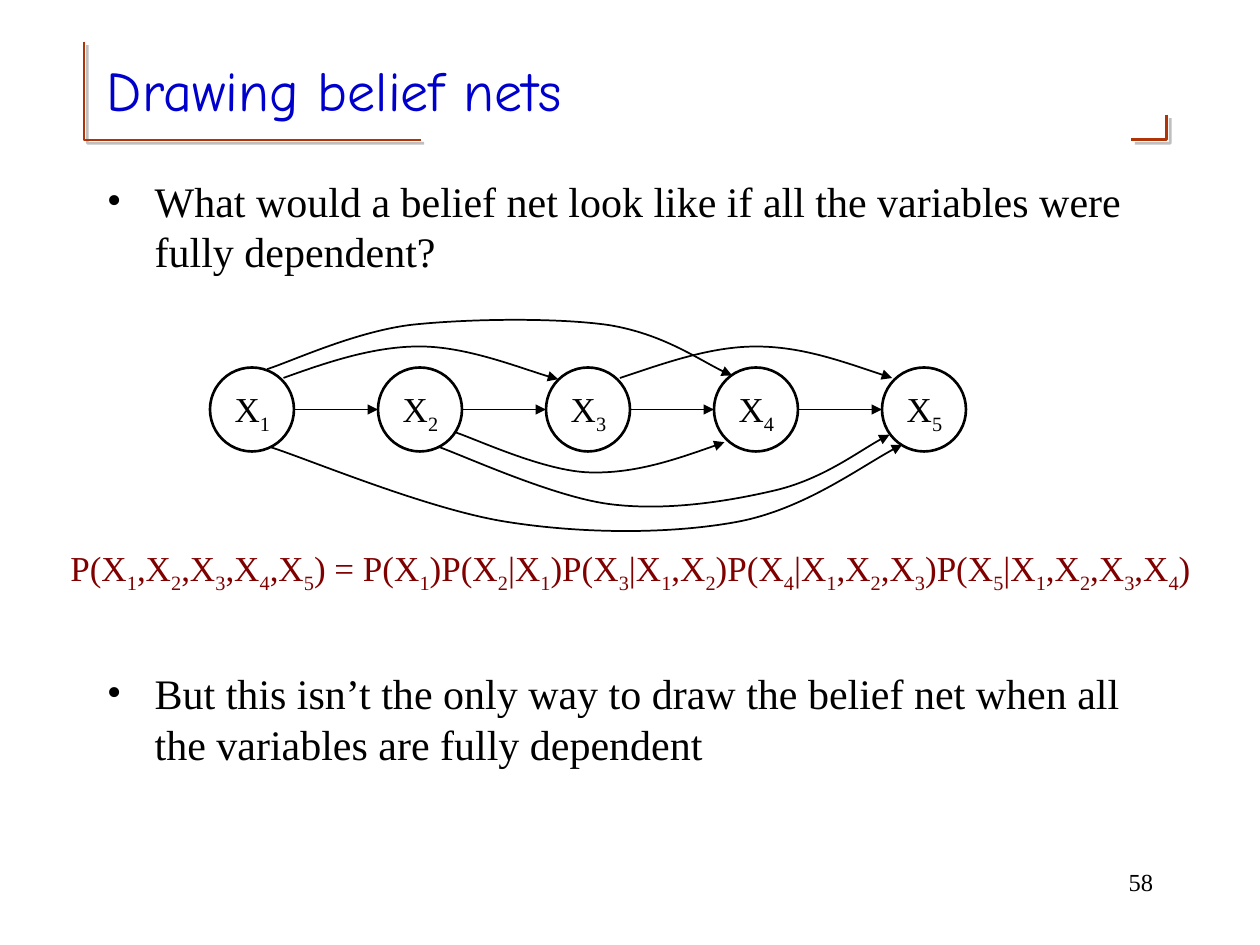
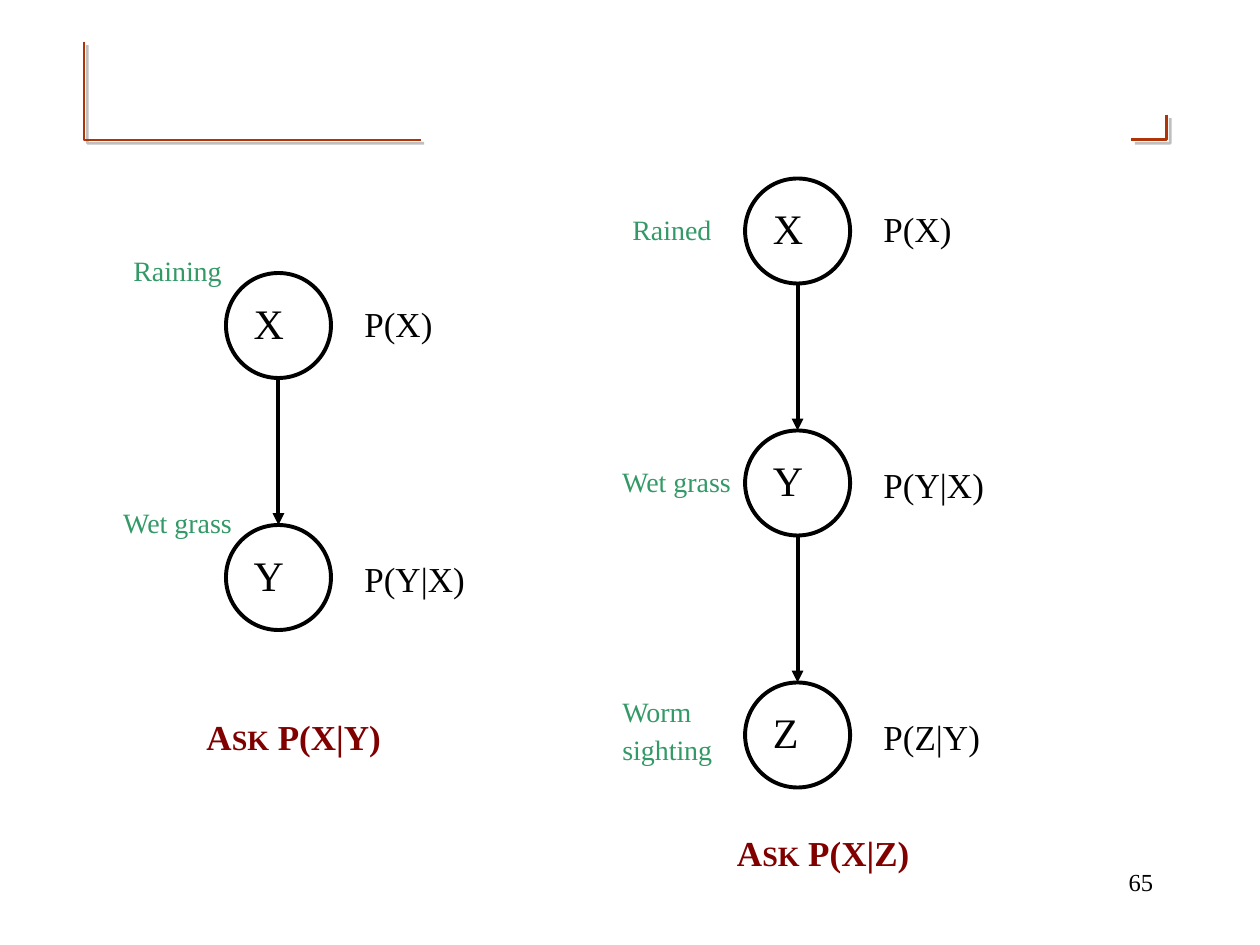
import itertools

import pptx
import pptx.dml.color
import pptx.enum.shapes
import pptx.enum.text
import pptx.oxml
import pptx.oxml.ns
import pptx.util
from pptx.util import Inches

SERIF = "Times New Roman"
TITLE_FONT = "Comic Neue"
BLACK = "000000"
TITLE_BLUE = "0000CC"
FRAME_BROWN = "AF3408"
FORMULA_RED = "800000"
MEANING_GREEN = "339966"
SHADOW_GRAY = "808080"

qn = pptx.oxml.ns.qn
MIDDLE = pptx.enum.text.MSO_ANCHOR.MIDDLE
RIGHT = pptx.enum.text.PP_ALIGN.RIGHT


def color(hex_code):
    return pptx.dml.color.RGBColor.from_string(hex_code)


def element(xml):
    """Parse a DrawingML fragment whose root uses the a: prefix."""
    tag_end = min(xml.index(mark) for mark in " />" if mark in xml)
    return pptx.oxml.parse_xml(
        xml[:tag_end] + " " + pptx.oxml.ns.nsdecls("a") + xml[tag_end:])


# Text

def add_run(paragraph, text, size, hex_code=BLACK, font=SERIF, bold=False):
    run = paragraph.add_run()
    run.text = text
    run.font.size = pptx.util.Pt(size)
    run.font.name = font
    run.font.bold = bold
    run.font.color.rgb = color(hex_code)
    return run


def add_subscripted(paragraph, text, size, hex_code=BLACK):
    """Write the text with every digit as a subscript."""
    for is_index, letters in itertools.groupby(text, str.isdigit):
        run = add_run(paragraph, "".join(letters), size, hex_code)
        if is_index:
            run._r.get_or_add_rPr().set("baseline", "-25000")


def add_text_box(slide, left, top, width, height, wrap=True):
    box = slide.shapes.add_textbox(
        Inches(left), Inches(top), Inches(width), Inches(height))
    frame = box.text_frame
    frame.word_wrap = wrap
    if not wrap:
        frame.auto_size = pptx.enum.text.MSO_AUTO_SIZE.SHAPE_TO_FIT_TEXT
    return frame


def add_label(slide, left, top, width, lines, size, hex_code=BLACK):
    frame = add_text_box(slide, left, top, width, 0.4 if size == 20 else 0.34,
                         wrap=False)
    for index, line in enumerate(lines.split("\n")):
        paragraph = frame.add_paragraph() if index else frame.paragraphs[0]
        paragraph.line_spacing = 0.9
        if index:
            paragraph.space_before = pptx.util.Pt(4)
        add_run(paragraph, line, size, hex_code)


def add_query(slide, left, top, query):
    paragraph = add_text_box(slide, left, top, 1.62, 0.4, False).paragraphs[0]
    paragraph.line_spacing = 0.9
    for text, size in (("A", 20), ("SK", 16), (" " + query, 20)):
        add_run(paragraph, text, size, FORMULA_RED, bold=True)


def add_bullet(slide, top, height, text):
    paragraph = add_text_box(slide, 0.75, top, 8.5, height).paragraphs[0]
    properties = paragraph._p.get_or_add_pPr()
    properties.set("marL", str(Inches(0.38)))
    properties.set("indent", str(-Inches(0.38)))
    properties.append(element(f'<a:buFont typeface="{SERIF}"/>'))
    properties.append(element('<a:buChar char="•"/>'))
    add_run(paragraph, text, 24)


def add_title(slide, text):
    frame = add_text_box(slide, 0.75, 0.25, 8.5, 0.92)
    frame.vertical_anchor = MIDDLE
    add_run(frame.paragraphs[0], text, 32, TITLE_BLUE, TITLE_FONT)


# Lines, curves and nodes

def set_line(shape, hex_code, width, arrow=False):
    shape.line.color.rgb = color(hex_code)
    shape.line.width = pptx.util.Pt(width)
    if arrow:
        shape.line._get_or_add_ln().append(
            element('<a:tailEnd type="triangle"/>'))


def add_path(slide, points):
    start, *others = [(Inches(x), Inches(y)) for x, y in points]
    builder = slide.shapes.build_freeform(*start)
    builder.add_line_segments(others, close=False)
    shape = builder.convert_to_shape()
    shape.fill.background()
    shape.shadow.inherit = False
    return shape


def add_curved_arrow(slide, points):
    """Draw a Bezier chain: a start point, then three points per segment."""
    shape = add_path(slide, points)
    path = next(shape._element.iter(qn("a:path")))
    steps = path.findall(qn("a:lnTo"))
    for first in range(0, len(steps), 3):
        curve = element("<a:cubicBezTo/>")
        for step in steps[first:first + 3]:
            curve.append(step[0])
            path.remove(step)
        path.append(curve)
    set_line(shape, BLACK, 1, arrow=True)


def add_straight_arrow(slide, start, end, width):
    connector = slide.shapes.add_connector(
        pptx.enum.shapes.MSO_CONNECTOR.STRAIGHT,
        *[Inches(value) for value in (*start, *end)])
    set_line(connector, BLACK, width, arrow=True)
    connector._element.spPr.append(element("<a:effectLst/>"))


def add_node(slide, left, top, diameter, name, size, line_width):
    node = slide.shapes.add_shape(
        pptx.enum.shapes.MSO_SHAPE.OVAL, Inches(left), Inches(top),
        Inches(diameter), Inches(diameter))
    node.shadow.inherit = False
    node.fill.background()
    set_line(node, BLACK, line_width)
    frame = node.text_frame
    frame.word_wrap = False
    frame.vertical_anchor = MIDDLE
    paragraph = frame.paragraphs[0]
    paragraph.alignment = pptx.enum.text.PP_ALIGN.LEFT
    paragraph.line_spacing = 0.9
    add_subscripted(paragraph, name, size)


# Shared slide frame

def add_slide(presentation, number):
    slide = presentation.slides.add_slide(presentation.slide_layouts[6])
    for points in ([(2 / 3, 0.33), (2 / 3, 1.11), (3.34, 1.11)],
                   [(9.26, 0.91), (9.26, 1.11), (8.98, 1.11)]):
        corner = add_path(slide, points)
        set_line(corner, FRAME_BROWN, 1.5)
        corner._element.spPr.find(qn("a:effectLst")).append(element(
            f'<a:outerShdw blurRad="0" dist="{pptx.util.Pt(2.8)}" '
            f'dir="2700000"><a:srgbClr val="{SHADOW_GRAY}">'
            '<a:alpha val="50000"/></a:srgbClr></a:outerShdw>'))
    paragraph = add_text_box(slide, 7.17, 6.83, 2.08, 0.5).paragraphs[0]
    paragraph.alignment = RIGHT
    add_run(paragraph, str(number), 14)
    return slide


# Slide: fully dependent net

DEPENDENCY_CURVES = [
    # X1 to X5
    [(2.15, 3.55), (2.46, 3.65), (3.39, 4.04), (4.01, 4.14), (4.63, 4.24),
     (5.33, 4.24), (5.86, 4.14), (6.38, 4.04), (6.89, 3.66), (7.16, 3.53)],
    # X1 to X3
    [(2.25, 3), (2.61, 2.87), (2.97, 2.75), (3.33, 2.75), (3.7, 2.75),
     (4.2, 2.95), (4.43, 3.01)],
    # X2 to X4
    [(3.61, 3.43), (3.79, 3.49), (4.32, 3.74), (4.68, 3.75), (5.03, 3.76),
     (5.39, 3.64), (5.75, 3.51)],
    # X3 to X5
    [(4.92, 3), (5.28, 2.88), (5.64, 2.75), (6, 2.75), (6.36, 2.75),
     (6.72, 2.88), (7.08, 3)],
    # X2 to X5
    [(3.49, 3.55), (3.71, 3.63), (4.39, 3.94), (4.83, 4), (5.28, 4.06),
     (5.78, 3.98), (6.16, 3.89), (6.53, 3.8), (6.87, 3.54), (7.06, 3.45)],
    # X1 to X4
    [(2.12, 2.93), (2.31, 2.87), (2.8, 2.64), (3.25, 2.58), (3.7, 2.53),
     (4.41, 2.52), (4.83, 2.58), (5.26, 2.65), (5.61, 2.9), (5.81, 2.98)],
]


def build_dependent_net(presentation):
    slide = add_slide(presentation, 58)
    add_title(slide, "Drawing belief nets")
    add_bullet(slide, 1.34, 5.33, "What would a belief net look like if all "
               "the variables were fully dependent?")
    add_bullet(slide, 5.25, 1.42, "But this isn’t the only way to draw the "
               "belief net when all the variables are fully dependent")

    diameter, middle = 2 / 3, 3.25
    for index in range(5):
        left = 5 / 3 + index * 2 * diameter
        add_node(slide, left, middle - diameter / 2, diameter,
                 f"X{index + 1}", 20, 1.5)
        if index:
            add_straight_arrow(slide, (left - diameter, middle),
                               (left, middle), 1)
    for points in DEPENDENCY_CURVES:
        add_curved_arrow(slide, points)

    formula = add_text_box(slide, 0.46, 4.29, 9.09, 0.48, wrap=False)
    add_subscripted(
        formula.paragraphs[0],
        "P(X1,X2,X3,X4,X5) = P(X1)P(X2|X1)P(X3|X1,X2)"
        "P(X4|X1,X2,X3)P(X5|X1,X2,X3,X4)", 20, FORMULA_RED)


# Slide: two chains of causes and effects

def add_chain(slide, center, top, nodes):
    """Stack nodes; each has a name, (probability, width) and a meaning
    given as (text, left, offset from the node's top, width)."""
    diameter, pitch = 5 / 6, 2
    left = center - diameter / 2
    for index, (name, probability, meaning) in enumerate(nodes):
        node_top = top + index * pitch
        add_node(slide, left, node_top, diameter, name, 24, 2.25)
        if index:
            add_straight_arrow(slide, (center, node_top - pitch + diameter),
                               (center, node_top), 2.25)
        text, width = probability
        add_label(slide, left + 1, node_top + (0.25 if index else 0.22),
                  width, text, 20)
        text, meaning_left, offset, width = meaning
        add_label(slide, meaning_left, node_top + offset, width, text, 16,
                  MEANING_GREEN)


def build_chains(presentation):
    slide = add_slide(presentation, 65)
    add_chain(slide, 2.21, 13 / 6, [
        ("X", ("P(X)", 0.76), ("Raining", 0.96, -0.17, 0.92)),
        ("Y", ("P(Y|X)", 1.02), ("Wet grass", 0.88, -0.17, 1.1)),
    ])
    add_query(slide, 1.54, 5.67, "P(X|Y)")
    add_chain(slide, 6.33, 17 / 12, [
        ("X", ("P(X)", 0.76), ("Rained", 4.92, 0.25, 0.85)),
        ("Y", ("P(Y|X)", 1.02), ("Wet grass", 4.84, 0.25, 1.1)),
        ("Z", ("P(Z|Y)", 1), ("Worm\nsighting", 4.84, 0.08, 0.95)),
    ])
    add_query(slide, 5.75, 6.59, "P(X|Z)")


def main():
    presentation = pptx.Presentation()
    presentation.slide_width = Inches(10)
    presentation.slide_height = Inches(7.5)
    build_dependent_net(presentation)
    build_chains(presentation)
    presentation.save("out.pptx")


if __name__ == "__main__":
    main()
